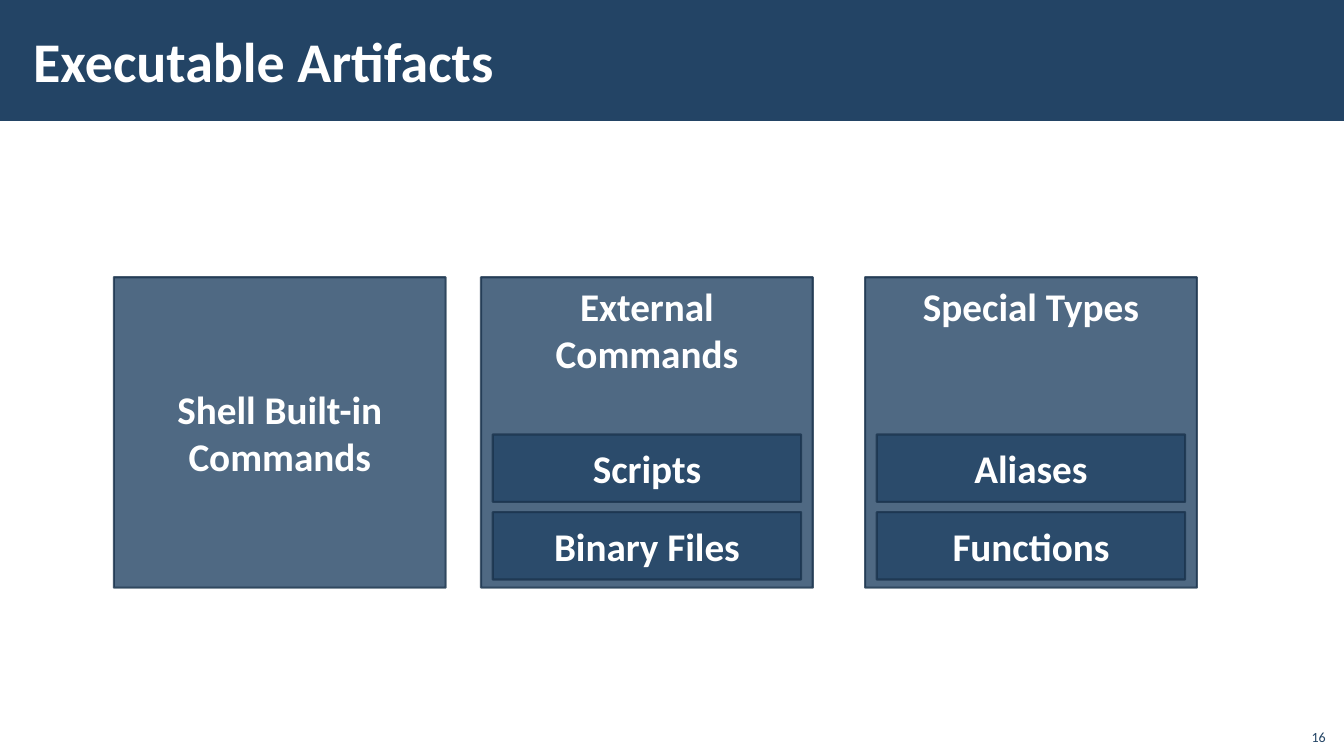
from lxml import etree
from pptx import Presentation
from pptx.dml.color import RGBColor
from pptx.enum import shapes, text
from pptx.oxml import ns
from pptx.util import Pt

COLORS = {"navy": "234465", "edge": "1A334C", "white": "FFFFFF"}
MID = text.MSO_ANCHOR.MIDDLE
TOP = text.MSO_ANCHOR.TOP
LOW = text.MSO_ANCHOR.BOTTOM
LEFT = text.PP_ALIGN.LEFT
CENTER = text.PP_ALIGN.CENTER
RIGHT = text.PP_ALIGN.RIGHT


class Deck:
    font = "Calibri"
    alpha = 80

    def __init__(self, slide):
        self.slide = slide

    def color(self, name):
        return RGBColor.from_string(COLORS[name])

    def letter(self, shape, words, size, color, bold, align, anchor):
        frame = shape.text_frame
        frame.word_wrap = True
        frame.vertical_anchor = anchor
        frame.text = words
        para = frame.paragraphs[0]
        para.alignment = align
        font = para.runs[0].font
        font.name, font.size, font.bold = self.font, Pt(size), bold
        font.color.rgb = self.color(color)

    def rect(self, x, y, w, h):
        shape = self.slide.shapes.add_shape(
            shapes.MSO_SHAPE.RECTANGLE, Pt(x), Pt(y), Pt(w), Pt(h))
        shape.shadow.inherit = False
        shape.fill.solid()
        shape.fill.fore_color.rgb = self.color("navy")
        shape.line.fill.background()
        return shape

    def box(self, x, y, w, h, words, anchor=MID):
        shape = self.rect(x, y, w, h)
        shape.line.color.rgb = self.color("edge")
        shape.line.width = Pt(1.5)
        # Make fill and outline translucent
        for tint in shape._element.spPr.iter(ns.qn("a:srgbClr")):
            etree.SubElement(tint, ns.qn("a:alpha"), val=str(self.alpha * 1000))
        self.letter(shape, words, 28, "white", True, CENTER, anchor)

    def label(self, x, y, w, h, words, size, color, bold, align, anchor):
        shape = self.slide.shapes.add_textbox(Pt(x), Pt(y), Pt(w), Pt(h))
        self.letter(shape, words, size, color, bold, align, anchor)
        return shape


def main():
    show = Presentation()
    show.slide_width, show.slide_height = Pt(960), Pt(540)
    deck = Deck(show.slides.add_slide(show.slide_layouts[6]))

    # Title band
    deck.rect(0, 0, 960, 86.4)
    title = deck.label(15.1, 7.9, 765.4, 69.8, "Executable Artifacts",
                       40, "white", True, LEFT, MID)
    title.text_frame.margin_left = title.text_frame.margin_right = Pt(8.64)

    # Command groups with their members
    groups = [
        (81.3, "Shell Built-in Commands", []),
        (343.6, "External Commands", ["Scripts", "Binary Files"]),
        (617.9, "Special Types", ["Aliases", "Functions"]),
    ]
    for x, name, parts in groups:
        deck.box(x, 198, 237, 221.8, name, TOP if parts else MID)
        for i, part in enumerate(parts):
            deck.box(x + 8.4, 310.4 + i * 55.4, 220.3, 48.2, part)

    # Page number
    deck.label(925.2, 512.6, 28.8, 23, "16", 10, "navy", False, RIGHT, LOW)

    show.save("out.pptx")


if __name__ == "__main__":
    main()
